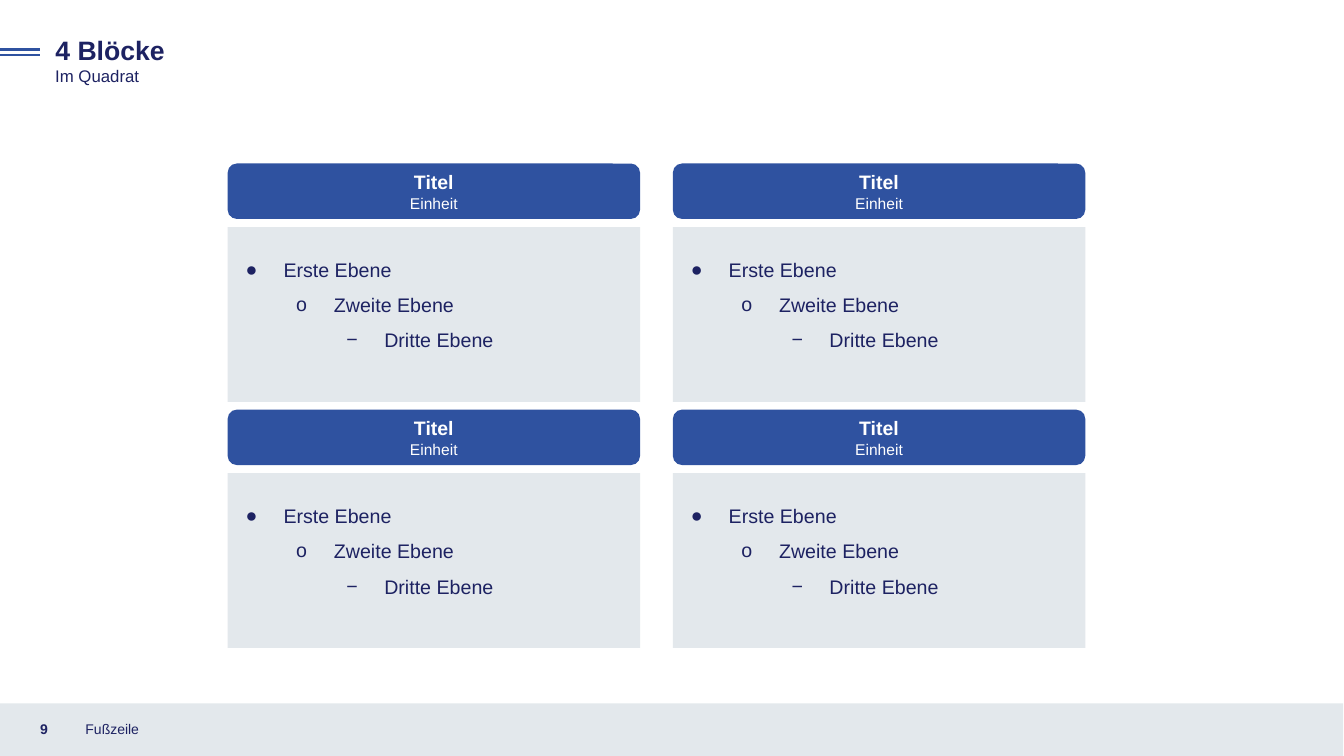
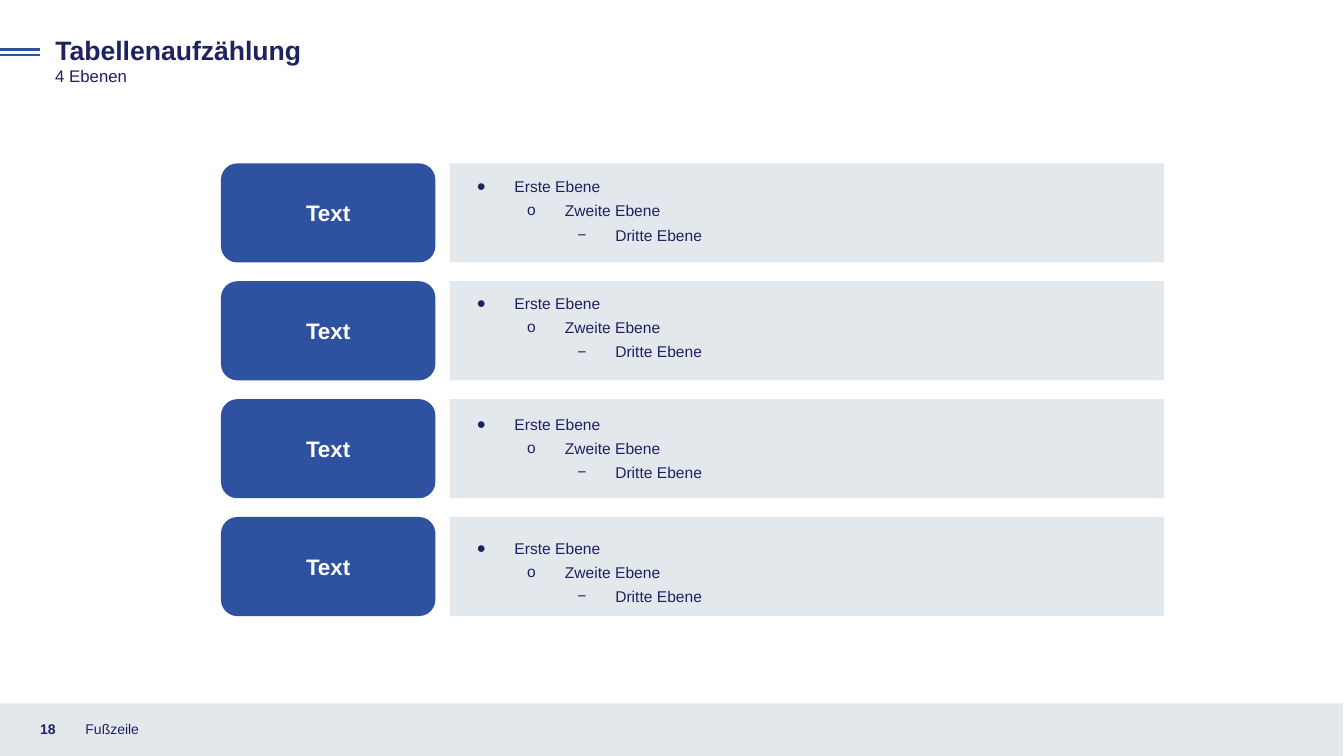
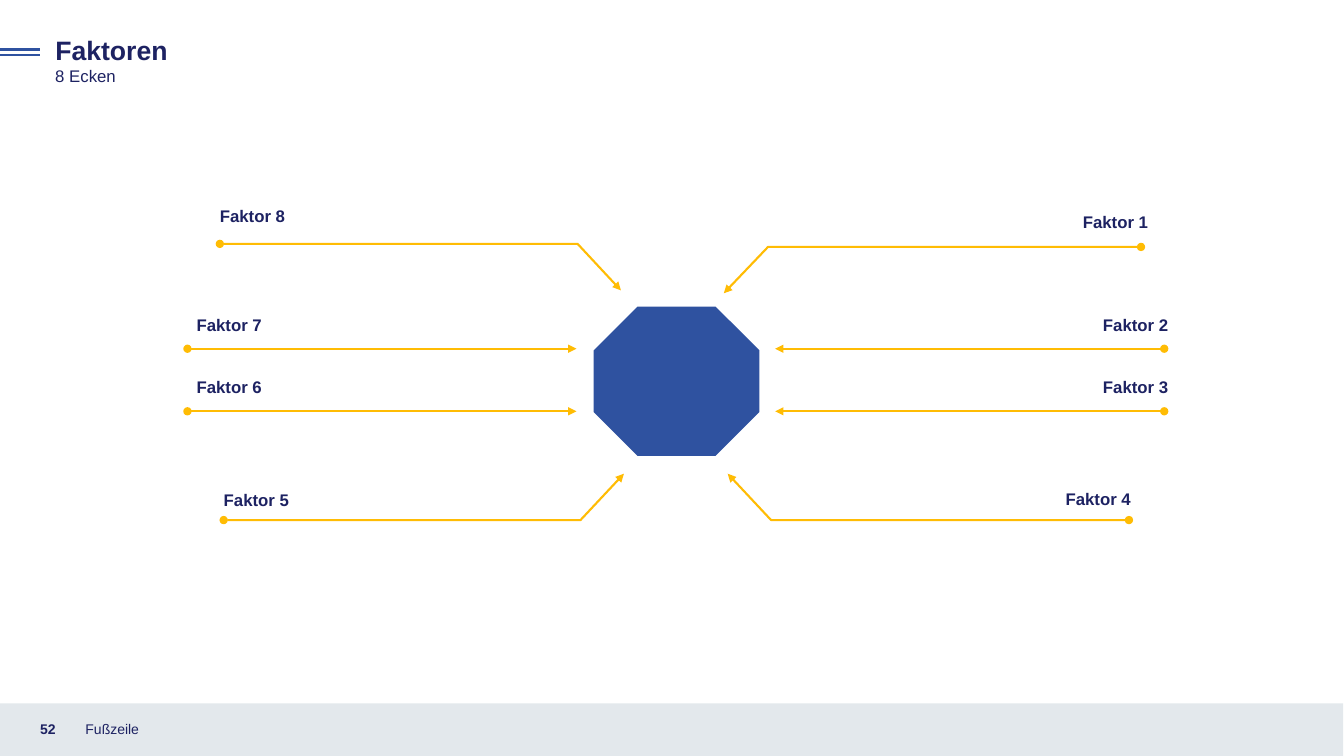
from lxml import etree
from pptx import Presentation
from pptx.dml.color import RGBColor
from pptx.enum.shapes import MSO_CONNECTOR, MSO_SHAPE
from pptx.enum.text import MSO_ANCHOR, MSO_AUTO_SIZE, PP_ALIGN
from pptx.oxml.ns import qn
from pptx.util import Pt

RECT, ROUNDED, OCTAGON = MSO_SHAPE.RECTANGLE, MSO_SHAPE.ROUNDED_RECTANGLE, MSO_SHAPE.OCTAGON
STRAIGHT = MSO_CONNECTOR.STRAIGHT
TOP, MIDDLE = MSO_ANCHOR.TOP, MSO_ANCHOR.MIDDLE
LEFT, CENTER, RIGHT = PP_ALIGN.LEFT, PP_ALIGN.CENTER, PP_ALIGN.RIGHT
NO_AUTOSIZE = MSO_AUTO_SIZE.NONE

FONT = "Arial"
COLORS = {
    "ink": "1D2262",
    "blue": "2F52A0",
    "grey": "E3E8EC",
    "yellow": "FFBC04",
    "white": "FFFFFF",
}
FOOTER = "Fußzeile"
LEVELS = [("●", "Erste Ebene"), ("o", "Zweite Ebene"), ("−", "Dritte Ebene")]

BLOCK_HEADING = [("Titel", 13.9, True), ("Einheit", 11.1, False)]
BLOCK_COLUMNS, BLOCK_ROWS = 2, 2

ROW_LABELS = ["Text"] * 4
LIST_OFFSETS = [2.2, 1.5, 3.6, 7.9]

FACTORS = [
    ("Faktor 1", RIGHT, (820.1, 151.2), [(815, 176.4), (548.6, 176.4), (517, 209.5)]),
    ("Faktor 2", RIGHT, (834.5, 224.6), [(831.6, 249.1), (553.7, 249.1)]),
    ("Faktor 3", RIGHT, (834.5, 269.3), [(831.6, 293.8), (553.7, 293.8)]),
    ("Faktor 4", RIGHT, (807.8, 349.2), [(806.4, 371.5), (550.8, 371.5), (519.8, 338.4)]),
    ("Faktor 5", LEFT, (159.8, 349.9), [(159.8, 371.5), (414.7, 371.5), (445.7, 338.4)]),
    ("Faktor 6", LEFT, (140.4, 269.3), [(133.9, 293.8), (411.8, 293.8)]),
    ("Faktor 7", LEFT, (140.4, 224.6), [(133.9, 249.1), (411.8, 249.1)]),
    ("Faktor 8", LEFT, (157, 146.9), [(157, 174.2), (412.6, 174.2), (443.5, 207.4)]),
]


def rgb(name):
    return RGBColor.from_string(COLORS[name])


def style_font(font, size, color, bold=False):
    font.name = FONT
    font.size = Pt(size)
    font.bold = bold
    font.color.rgb = rgb(color)


def write(box, lines, color="ink", align=LEFT, anchor=TOP, inset=None):
    frame = box.text_frame
    frame.word_wrap = True
    frame.auto_size = NO_AUTOSIZE
    frame.vertical_anchor = anchor
    side, edge = (7.2, 3.6) if inset is None else (inset, inset)
    frame.margin_left = frame.margin_right = Pt(side)
    frame.margin_top = frame.margin_bottom = Pt(edge)
    for index, (text, size, bold) in enumerate(lines):
        para = frame.paragraphs[0] if index == 0 else frame.add_paragraph()
        para.text = text
        para.alignment = align
        style_font(para.font, size, color, bold)


def add_text(page, area, lines, **options):
    box = page.shapes.add_textbox(*map(Pt, area))
    write(box, lines, **options)


def add_block(page, kind, area, color, lines=()):
    block = page.shapes.add_shape(kind, *map(Pt, area))
    block.shadow.inherit = False
    block.fill.solid()
    block.fill.fore_color.rgb = rgb(color)
    block.line.fill.background()
    if lines:
        write(block, lines, color="white", align=CENTER, anchor=MIDDLE)


def add_levels(page, area, size, spacing):
    box = page.shapes.add_textbox(*map(Pt, area))
    frame = box.text_frame
    frame.word_wrap = True
    for level, (bullet, text) in enumerate(LEVELS):
        para = frame.paragraphs[0] if level == 0 else frame.add_paragraph()
        para.text = text
        para.level = level
        para.line_spacing = spacing
        properties = para._p.get_or_add_pPr()
        properties.set("marL", str(Pt(27 + 36 * level)))
        properties.set("indent", str(Pt(-27)))
        bullet_color = etree.SubElement(properties, qn("a:buClr"))
        etree.SubElement(bullet_color, qn("a:srgbClr"), val=COLORS["ink"])
        etree.SubElement(properties, qn("a:buFont"), typeface=FONT)
        etree.SubElement(properties, qn("a:buChar"), char=bullet)
        style_font(para.font, size, "ink")


def add_line(page, points, color, arrow=False):
    start, end = points[0], points[-1]
    if len(points) == 2:
        line = page.shapes.add_connector(STRAIGHT, *map(Pt, start + end))
    else:
        builder = page.shapes.build_freeform(*map(Pt, start))
        builder.add_line_segments([tuple(map(Pt, point)) for point in points[1:]], close=False)
        line = builder.convert_to_shape()
        line.fill.background()
    line.line.color.rgb = rgb(color)
    line.line.width = Pt(1.5)
    properties = line.element.spPr
    if arrow:
        outline = properties.find(qn("a:ln"))
        etree.SubElement(outline, qn("a:headEnd"), type="oval")
        etree.SubElement(outline, qn("a:tailEnd"), type="triangle")
    etree.SubElement(properties, qn("a:effectLst"))


def add_page(deck, number, title, subtitle):
    page = deck.slides.add_slide(deck.slide_layouts[5])
    add_block(page, RECT, (-0.5, 502.4, 960, 39.6), "grey")
    heading = page.shapes.title
    heading.left, heading.top, heading.width, heading.height = map(Pt, (32.4, 20.9, 555.8, 30.2))
    write(heading, [(title, 19, True)])
    add_text(page, (32.4, 43.2, 249.1, 21.6), [(subtitle, 12, False)])
    for y in (35.4, 39):
        add_line(page, [(0, y), (28.4, y)], "blue")
    add_text(page, (21.6, 506.2, 32.4, 28.8), [(str(number), 10, True)], anchor=MIDDLE)
    add_text(page, (54, 506.2, 324, 28.8), [(FOOTER, 10, False)], anchor=MIDDLE)
    return page


def build_blocks(deck):
    page = add_page(deck, 9, "4 Blöcke", "Im Quadrat")
    for column in range(BLOCK_COLUMNS):
        for row in range(BLOCK_ROWS):
            x, y = 162.6 + 318 * column, 116.8 + 175.8 * row
            add_block(page, ROUNDED, (x, y, 294.6, 39.6), "blue", BLOCK_HEADING)
            add_block(page, RECT, (x, y + 45.4, 294.6, 124.8), "grey")
            add_levels(page, (x + 5.8, y + 55.4, 272.2, 105.8), 14, 1.5)


def build_rows(deck):
    page = add_page(deck, 18, "Tabellenaufzählung", "4 Ebenen")
    for row, (label, offset) in enumerate(zip(ROW_LABELS, LIST_OFFSETS)):
        y = 116.7 + 84.2 * row
        add_block(page, ROUNDED, (157.8, y, 153.2, 70.8), "blue", [(label, 16, True)])
        add_block(page, RECT, (321.1, y, 510.4, 70.8), "grey")
        add_levels(page, (333.4, y + offset, 486.7, 60.5), 11.1, 1.3)


def build_factors(deck):
    page = add_page(deck, 52, "Faktoren", "8 Ecken")
    add_block(page, OCTAGON, (424.1, 219, 118.3, 106.7), "blue")
    width = 243.4
    for label, align, (edge, y), points in FACTORS:
        x = edge - width if align == RIGHT else edge
        add_text(page, (x, y, width, 14.4), [(label, 12, True)],
                 align=align, anchor=MIDDLE, inset=0)
        add_line(page, points, "yellow", arrow=True)


def main():
    deck = Presentation()
    deck.slide_width, deck.slide_height = Pt(960), Pt(540)
    build_blocks(deck)
    build_rows(deck)
    build_factors(deck)
    deck.save("out.pptx")


if __name__ == "__main__":
    main()
